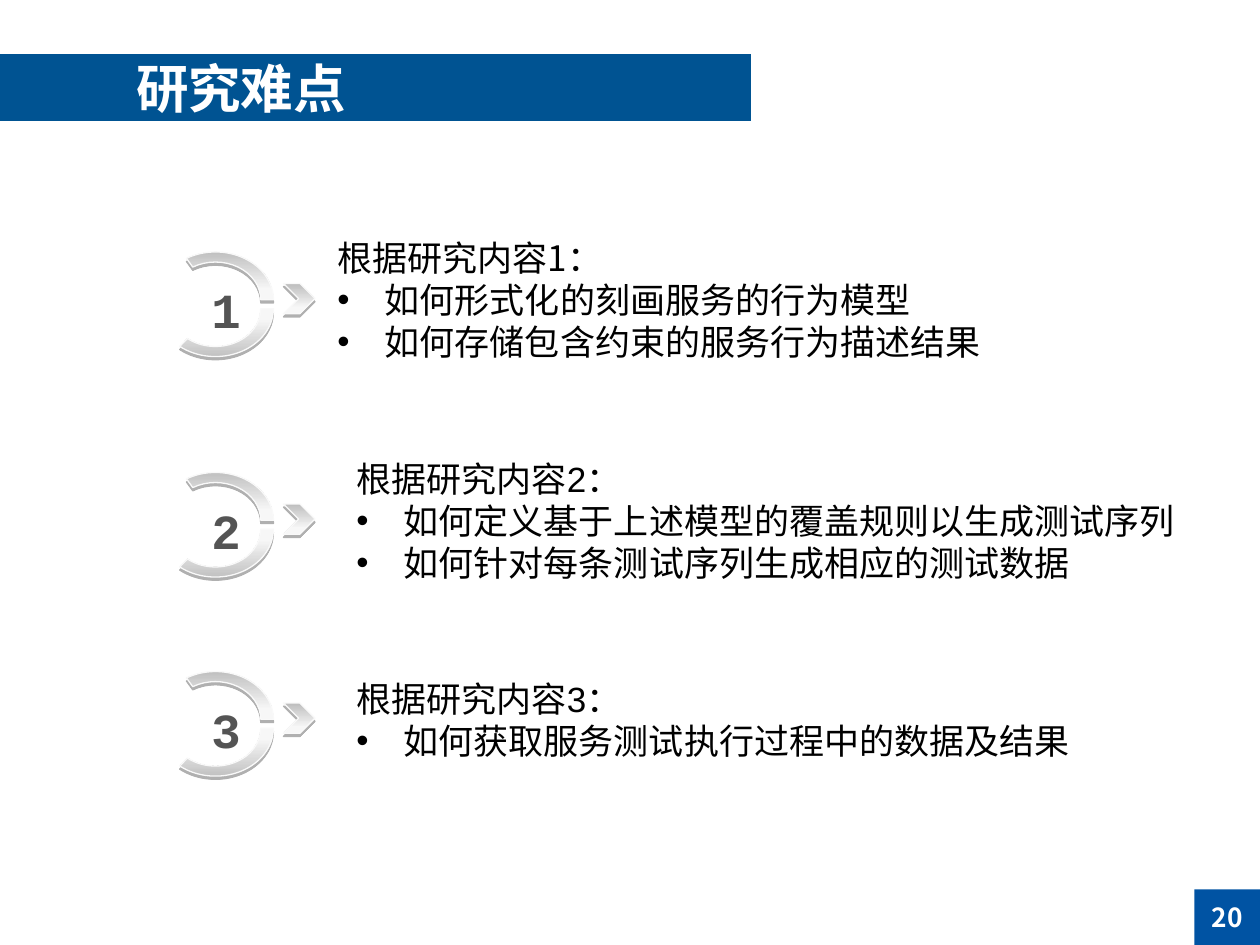
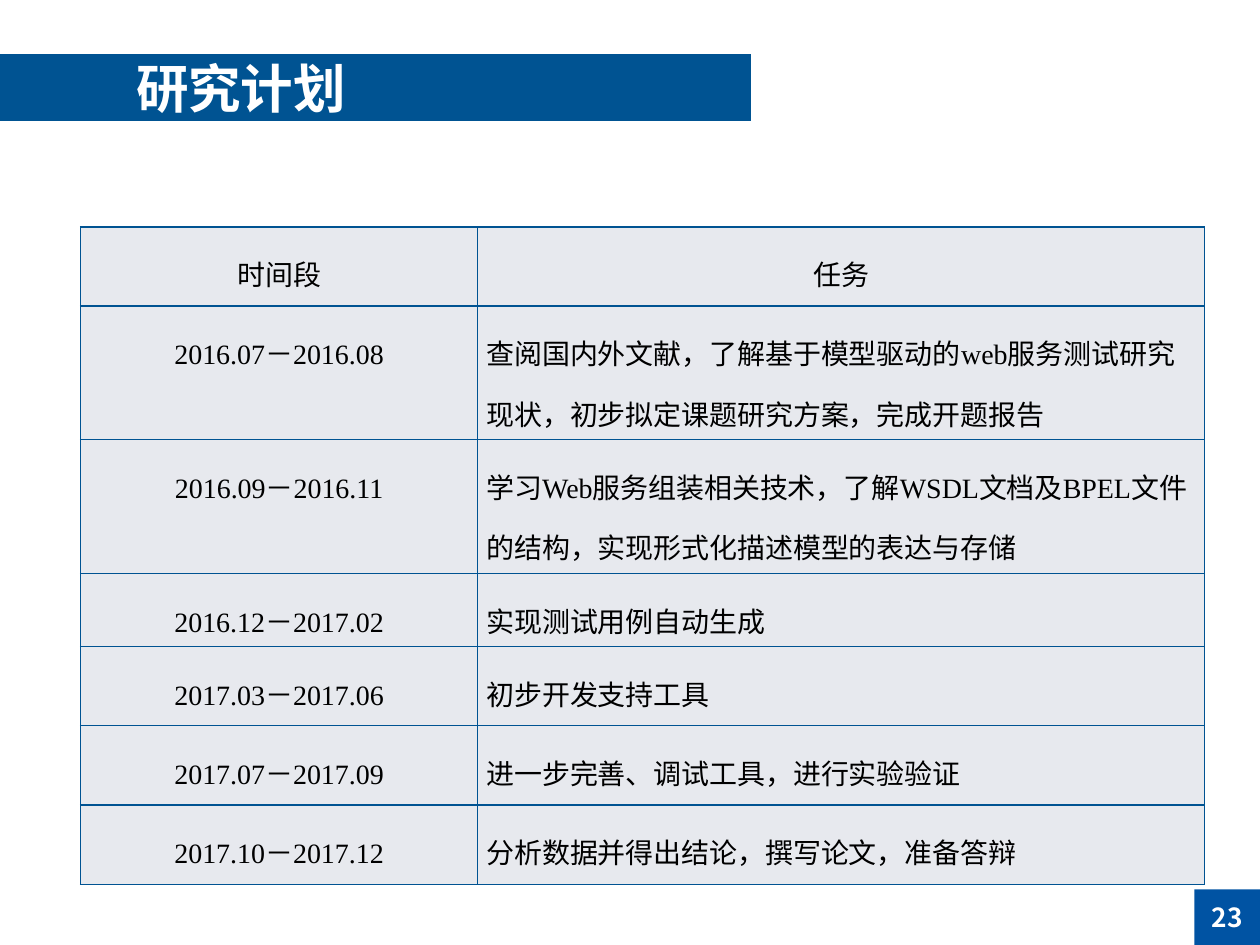
from math import cos, radians, sin, tan

from pptx import Presentation
from pptx.dml.color import RGBColor
from pptx.enum.shapes import MSO_SHAPE
from pptx.enum.text import MSO_ANCHOR, MSO_AUTO_SIZE, PP_ALIGN
from pptx.oxml import parse_xml
from pptx.oxml.ns import nsdecls, qn
from pptx.util import Inches, Pt

RECT, CHEVRON = MSO_SHAPE.RECTANGLE, MSO_SHAPE.CHEVRON
LEFT, CENTER, JUSTIFY = PP_ALIGN.LEFT, PP_ALIGN.CENTER, PP_ALIGN.JUSTIFY
TOP, MIDDLE = MSO_ANCHOR.TOP, MSO_ANCHOR.MIDDLE
GROW = MSO_AUTO_SIZE.SHAPE_TO_FIT_TEXT

TITLE_BLUE, PAGE_BLUE = "005392", "0053A3"
WHITE, BLACK, NUMBER_GREY = "FFFFFF", "000000", "545454"
EDGE_GREY, CELL_GREY = "F9F9F9", "E7E9EE"
METAL = ((0, "BDBDBD"), (80, "F7F7F7"), (100, "F8F8F8"))
CJK, CJK_TITLE = "Noto Sans CJK SC", "Noto Sans CJK JP"
SANS, SERIF, MONO = "Arial", "Times New Roman", "Courier New"

DIFFICULTIES = [
    (2, 2.58, 1.83, 5.55, 1.11, CJK, "根据研究内容1：",
     ["如何形式化的刻画服务的行为模型", "如何存储包含约束的服务行为描述结果"]),
    (3.75, 2.73, 3.58, 6.75, 1.11, SANS, "根据研究内容2：",
     ["如何定义基于上述模型的覆盖规则以生成测试序列", "如何针对每条测试序列生成相应的测试数据"]),
    (5.33, 2.73, 5.33, 5.94, 0.77, SANS, "根据研究内容3：",
     ["如何获取服务测试执行过程中的数据及结果"]),
]

PLAN = [
    ("时间段", "任务", 0.63),
    ("2016.07－2016.08",
     "查阅国内外文献，了解基于模型驱动的web服务测试研究现状，初步拟定课题研究方案，完成开题报告", 1.06),
    ("2016.09－2016.11",
     "学习Web服务组装相关技术，了解WSDL文档及BPEL文件的结构，实现形式化描述模型的表达与存储", 1.06),
    ("2016.12－2017.02", "实现测试用例自动生成", 0.58),
    ("2017.03－2017.06", "初步开发支持工具", 0.63),
    ("2017.07－2017.09", "进一步完善、调试工具，进行实验验证", 0.63),
    ("2017.10－2017.12", "分析数据并得出结论，撰写论文，准备答辩", 0.63),
]


def rgb(value):
    return RGBColor.from_string(value)


def write(tf, text, size=20, font=SANS, ea=CJK, color=BLACK, bold=False,
          align=LEFT, spacing=None, bullets=()):
    for i, line in enumerate([text, *bullets]):
        p = tf.add_paragraph() if i else tf.paragraphs[0]
        p.alignment = align
        if spacing:
            p.line_spacing = spacing
        if i:
            add_bullet(p)
        r = p.add_run()
        r.text = line
        r.font.size, r.font.name, r.font.bold = Pt(size), font, bold
        r.font.color.rgb = rgb(color)
        r.font._element.find(qn("a:latin")).addnext(
            parse_xml(f'<a:ea {nsdecls("a")} typeface="{ea}"/>'))


def add_bullet(p):
    pPr = p._p.get_or_add_pPr()
    pPr.set("marL", str(Pt(27)))
    pPr.set("indent", str(-Pt(27)))
    pPr.append(parse_xml(f'<a:buFont {nsdecls("a")} typeface="{SANS}"/>'))
    pPr.append(parse_xml(f'<a:buChar {nsdecls("a")} char="•"/>'))


def set_borders(cell, color, width):
    tcPr = cell._tc.get_or_add_tcPr()
    for i, side in enumerate("LRTB"):
        tcPr.insert(i, parse_xml(
            f'<a:ln{side} {nsdecls("a")} w="{Pt(width)}"><a:solidFill>'
            f'<a:srgbClr val="{color}"/></a:solidFill></a:ln{side}>'))


def make_metal(sp, angle=90):
    sp.shadow.inherit = False
    sp.line.color.rgb = rgb(EDGE_GREY)
    sp.line.width = Pt(0.75)
    sp.fill.gradient()
    spPr = sp._element.spPr
    stops = "".join(f'<a:gs pos="{pos * 1000}"><a:srgbClr val="{c}"/></a:gs>'
                    for pos, c in METAL)
    spPr.replace(spPr.find(qn("a:gradFill")), parse_xml(
        f'<a:gradFill {nsdecls("a")} rotWithShape="1"><a:gsLst>{stops}</a:gsLst>'
        f'<a:lin ang="{angle * 60000}" scaled="0"/></a:gradFill>'))
    spPr.find(qn("a:effectLst")).append(parse_xml(
        f'<a:outerShdw {nsdecls("a")} blurRad="0" dist="{Pt(1.8)}" dir="5400000" '
        f'algn="ctr" rotWithShape="0"><a:srgbClr val="{BLACK}">'
        '<a:alpha val="31000"/></a:srgbClr></a:outerShdw>'))


def bezier_points(cx, cy, rx, ry, sweep):
    step = radians(sweep / 2)
    k = 4 / 3 * tan(step / 4)
    points = [(cx + rx, cy)]
    for a, b in ((0, step), (step, 2 * step)):
        points += [(cx + rx * (cos(a) - k * sin(a)), cy + ry * (sin(a) + k * cos(a))),
                   (cx + rx * (cos(b) + k * sin(b)), cy + ry * (sin(b) - k * cos(b))),
                   (cx + rx * cos(b), cy + ry * sin(b))]
    return [(Inches(x), Inches(y)) for x, y in points]


def bend(sp, starts):
    lines = list(sp._element.iter(qn("a:lnTo")))
    for start in starts:
        first, *others = lines[start:start + 3]
        curve = parse_xml(f'<a:cubicBezTo {nsdecls("a")}/>')
        first.addprevious(curve)
        for line in (first, *others):
            curve.append(line[0])
            line.getparent().remove(line)


class Deck:
    def __init__(self):
        self.prs = Presentation()
        self.prs.slide_width, self.prs.slide_height = Inches(10), Inches(7.5)
        self.shapes = None

    def slide(self, title, page):
        s = self.prs.slides.add_slide(self.prs.slide_layouts[6])
        self.shapes = s.shapes
        tf = self.band(0, 0.43, 5.96, 0.53, TITLE_BLUE)
        tf.margin_left, tf.margin_right = Inches(1.08), Inches(0.07)
        tf.margin_top = tf.margin_bottom = Inches(0.04)
        write(tf, title, size=30, font=CJK_TITLE, ea=CJK_TITLE, color=WHITE, bold=True)
        tf = self.band(9.48, 7.06, 0.52, 0.44, PAGE_BLUE)
        write(tf, str(page), size=15, font=CJK, color=WHITE, bold=True, align=CENTER)

    def shape(self, kind, x, y, w, h):
        return self.shapes.add_shape(kind, Inches(x), Inches(y), Inches(w), Inches(h))

    def band(self, x, y, w, h, color):
        sp = self.shape(RECT, x, y, w, h)
        sp.shadow.inherit = False
        sp.fill.solid()
        sp.fill.fore_color.rgb = rgb(color)
        sp.line.fill.background()
        sp.text_frame.word_wrap = True
        sp.text_frame.vertical_anchor = MIDDLE
        return sp.text_frame

    def text(self, x, y, w, h, text, **fmt):
        tf = self.shapes.add_textbox(Inches(x), Inches(y), Inches(w), Inches(h)).text_frame
        tf.word_wrap = True
        tf.auto_size = GROW
        write(tf, text, **fmt)

    def chevron(self, x, y):
        make_metal(self.shape(CHEVRON, x, y, 0.25, 0.24))

    def arc(self, cx, cy, sweep, angle):
        outer = bezier_points(cx, cy, 0.46, 0.38, sweep)
        inner = bezier_points(cx, cy, 0.36, 0.3, sweep)[::-1]
        builder = self.shapes.build_freeform(*outer[0])
        builder.add_line_segments(outer[1:] + inner, close=True)
        sp = builder.convert_to_shape()
        bend(sp, (0, 3, 7, 10))
        make_metal(sp, angle)
        return sp

    def ring(self, y):
        arcs = [self.arc(1.71, y + 0.38, -120, 90), self.arc(1.71, y + 0.45, 128, 270)]
        self.shapes.add_group_shape(arcs)

    def table(self, x, y, widths, rows):
        heights = [row[-1] for row in rows]
        tbl = self.shapes.add_table(len(rows), len(widths), Inches(x), Inches(y),
                                    Inches(sum(widths)), Inches(sum(heights))).table
        tbl.first_row = tbl.horz_banding = False
        for col, width in zip(tbl.columns, widths):
            col.width = Inches(width)
        for i, (*texts, height) in enumerate(rows):
            tbl.rows[i].height = Inches(height)
            for j, text in enumerate(texts):
                cell = tbl.cell(i, j)
                cell.margin_left = cell.margin_right = Inches(0.07)
                cell.margin_top = cell.margin_bottom = Inches(0.05)
                cell.vertical_anchor = TOP
                cell.fill.solid()
                cell.fill.fore_color.rgb = rgb(CELL_GREY)
                set_borders(cell, TITLE_BLUE, 1)
                write(cell.text_frame, text, size=16, font=SERIF, spacing=1.5,
                      align=LEFT if i and j else CENTER)


def main():
    deck = Deck()

    deck.slide("研究难点", 20)
    for number, (top, x, y, w, h, font, heading, bullets) in enumerate(DIFFICULTIES, 1):
        deck.ring(top)
        deck.text(1.58, top + 0.17, 0.43, 0.57, str(number), size=28, font=MONO,
                  color=NUMBER_GREY, bold=True)
        deck.chevron(2.25, top + 0.25)
        deck.text(x, y, w, h, heading, font=font, align=JUSTIFY, bullets=bullets)

    deck.slide("研究计划", 23)
    deck.table(0.64, 1.8, (3.15, 5.77), PLAN)

    deck.prs.save("out.pptx")


if __name__ == "__main__":
    main()
